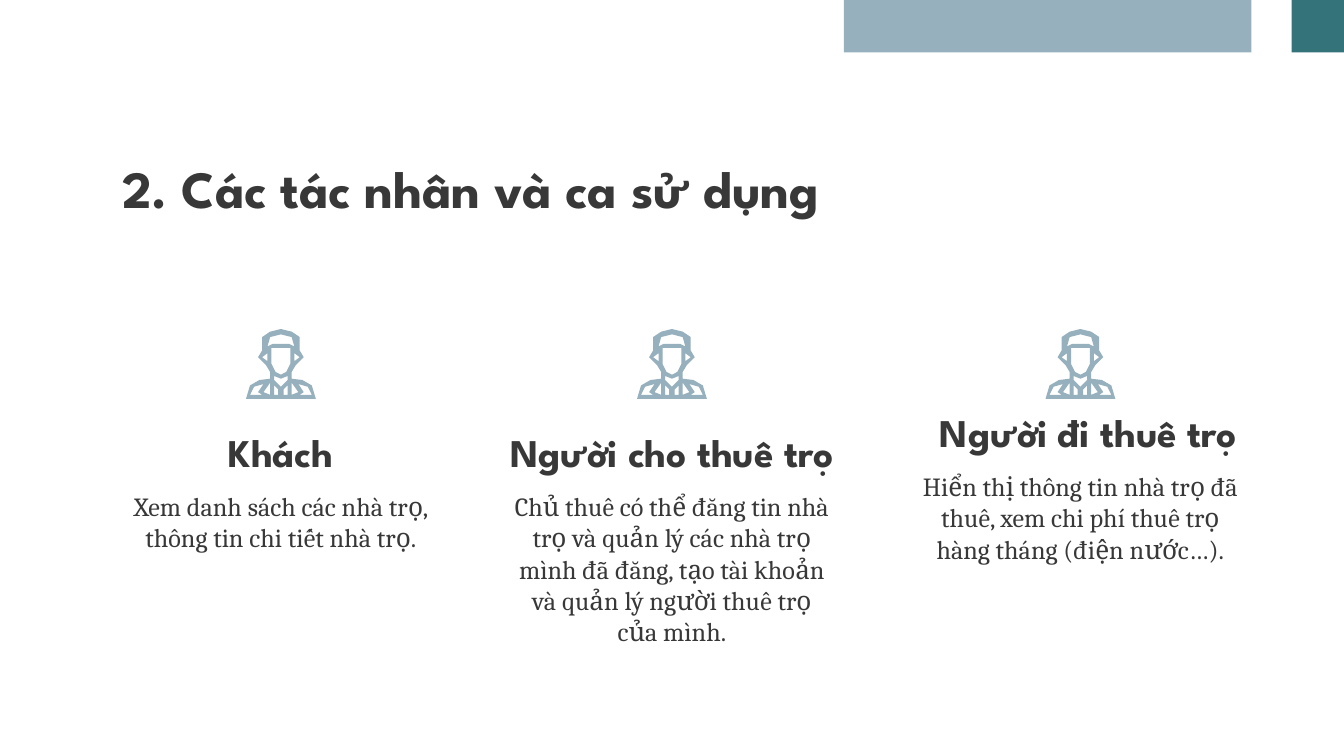
from pptx import Presentation
from pptx.dml.color import RGBColor
from pptx.enum.shapes import MSO_SHAPE as SHAPE
from pptx.enum.text import MSO_ANCHOR as ANCHOR, PP_ALIGN as ALIGN
from pptx.util import Cm, Pt

# Content
TITLE = "2. Các tác nhân và ca sử dụng"
ACTORS = [
    dict(name="Khách", center=5.31, top=7.8, name_w=7.14, shift=0, body_h=2.84,
         body="Xem danh sách các nhà trọ, thông tin chi tiết nhà trọ."),
    dict(name="Người cho thuê trọ", center=12.7, top=7.8, name_w=7.14, shift=0, body_h=3.33,
         body="Chủ thuê có thể đăng tin nhà trọ và quản lý các nhà trọ mình đã đăng, "
              "tạo tài khoản và quản lý người thuê trọ của mình."),
    dict(name="Người đi thuê trọ", center=20.42, top=7.42, name_w=6.81, shift=0.15, body_h=2.84,
         body="Hiển thị thông tin nhà trọ đã thuê, xem chi phí thuê trọ hàng tháng "
              "(điện nước…)."),
]
BARS = [(15.95, 7.7, "97B0BD"), (24.41, 0.99, "347379")]  # left, width, colour
INK = "383838"

# Person icon, right half only, on a 52-unit grid; x counts from the middle
JOINED = [  # contours that cross the middle
    [(0, 0), (8, 2), (14, 6), (14, 16), (17, 21), (11, 27), (8, 32), (8, 37),
     (16, 38), (23, 42), (26, 52)],                    # outline
    [(0, 4), (8, 6), (10, 13), (6, 11), (0, 11)],      # hair
    [(0, 14), (7, 14), (7, 26), (4, 32), (0, 34)],     # face
    [(0, 37), (5, 35), (5, 38), (0, 43)],              # neck
]
PAIRED = [  # contours that appear once on each side
    [(10, 18), (14, 21), (10, 24)],                    # ear
    [(13, 41), (20, 43), (23, 49), (14, 49), (17, 47)],  # sleeve
    [(8, 40), (13, 47), (8, 49)],                      # lapel
    [(5, 42), (5, 49), (2, 49), (2, 45)],              # shirt
]
ICON_TOP, ICON_SIZE, GRID = 6.22, 1.32, 52
BODY_W, BODY_GAP = 6.5, 1.22


def rgb(value):
    return RGBColor.from_string(value)


def paint(sp, color):
    sp.shadow.inherit = False
    sp.fill.solid()
    sp.fill.fore_color.rgb = rgb(color)
    sp.line.fill.background()


def add_text(s, text, x, y, w, h, font, size, bold=False, align=ALIGN.CENTER,
             anchor=ANCHOR.MIDDLE, after=0):
    tf = s.shapes.add_textbox(Cm(x), Cm(y), Cm(w), Cm(h)).text_frame
    tf.word_wrap = True
    tf.vertical_anchor = anchor
    tf.margin_left = tf.margin_right = tf.margin_top = tf.margin_bottom = Cm(0.25)
    p = tf.paragraphs[0]
    p.alignment = align
    p.space_after = Pt(after)
    r = p.add_run()
    r.text = text
    r.font.name, r.font.size, r.font.bold = font, Pt(size), bold
    r.font.color.rgb = rgb(INK)


def mirror(points):
    return [(-x, y) for x, y in reversed(points)]


def add_person(s, center, top):
    contours = [half + mirror(half) for half in JOINED]
    for half in PAIRED:
        contours += [half, mirror(half)]
    builder = s.shapes.build_freeform(*contours[0][0], scale=Cm(ICON_SIZE) / GRID)
    for i, (start, *rest) in enumerate(contours):
        if i:
            builder.move_to(*start)
        builder.add_line_segments(rest, close=True)
    paint(builder.convert_to_shape(Cm(center), Cm(top)), "97B0BD")


prs = Presentation()
prs.slide_width, prs.slide_height = Cm(25.4), Cm(14.29)
s = prs.slides.add_slide(prs.slide_layouts[6])

# Bars at the top edge
for left, width, color in BARS:
    paint(s.shapes.add_shape(SHAPE.RECTANGLE, Cm(left), 0, Cm(width), Cm(0.99)), color)

# Title
add_text(s, TITLE, 2.06, 2.77, 21.41, 1.55, "League Spartan", 28, True, ALIGN.LEFT)

# One column per actor: icon, name, description
for a in ACTORS:
    add_person(s, a["center"], ICON_TOP)
    add_text(s, a["name"], a["center"] + a["shift"] - a["name_w"] / 2, a["top"],
             a["name_w"], 1.47, "League Spartan", 21, True)
    add_text(s, a["body"], a["center"] - BODY_W / 2, a["top"] + BODY_GAP, BODY_W,
             a["body_h"], "Cambria", 14, anchor=ANCHOR.TOP, after=16)

prs.save("out.pptx")
